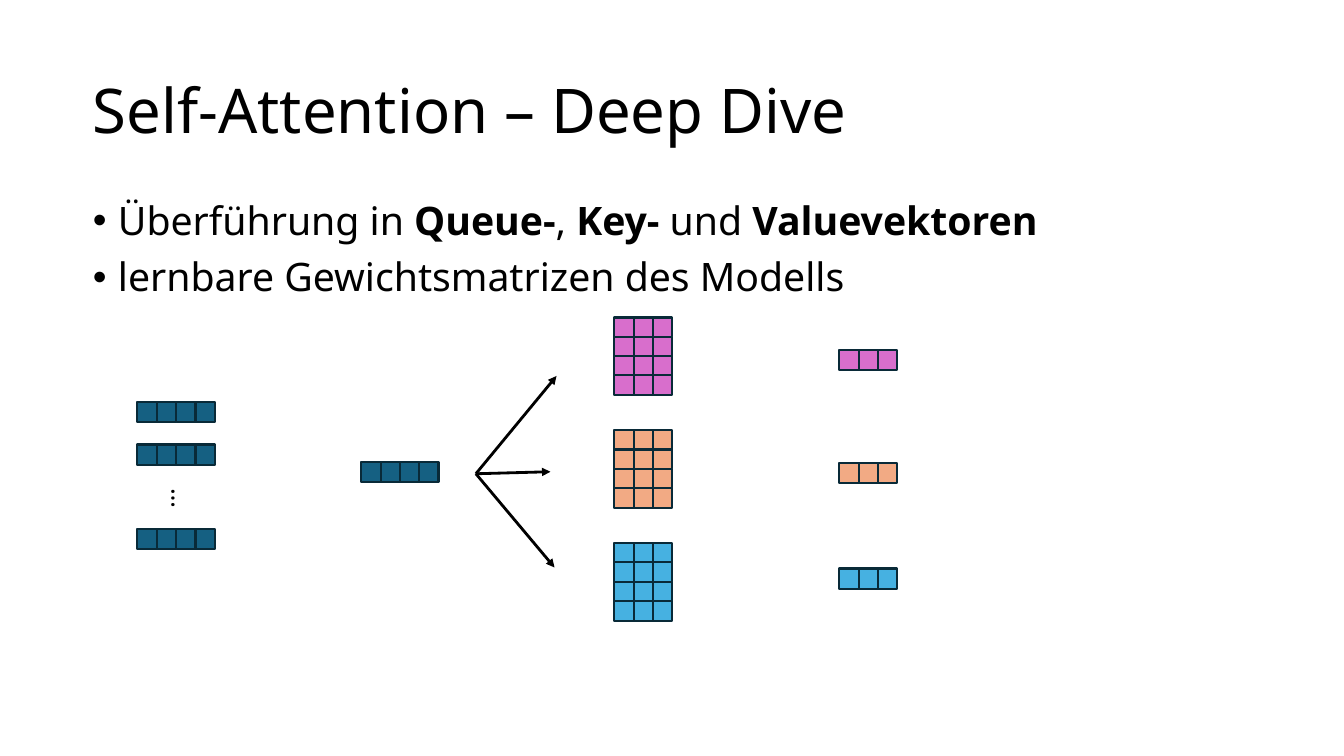
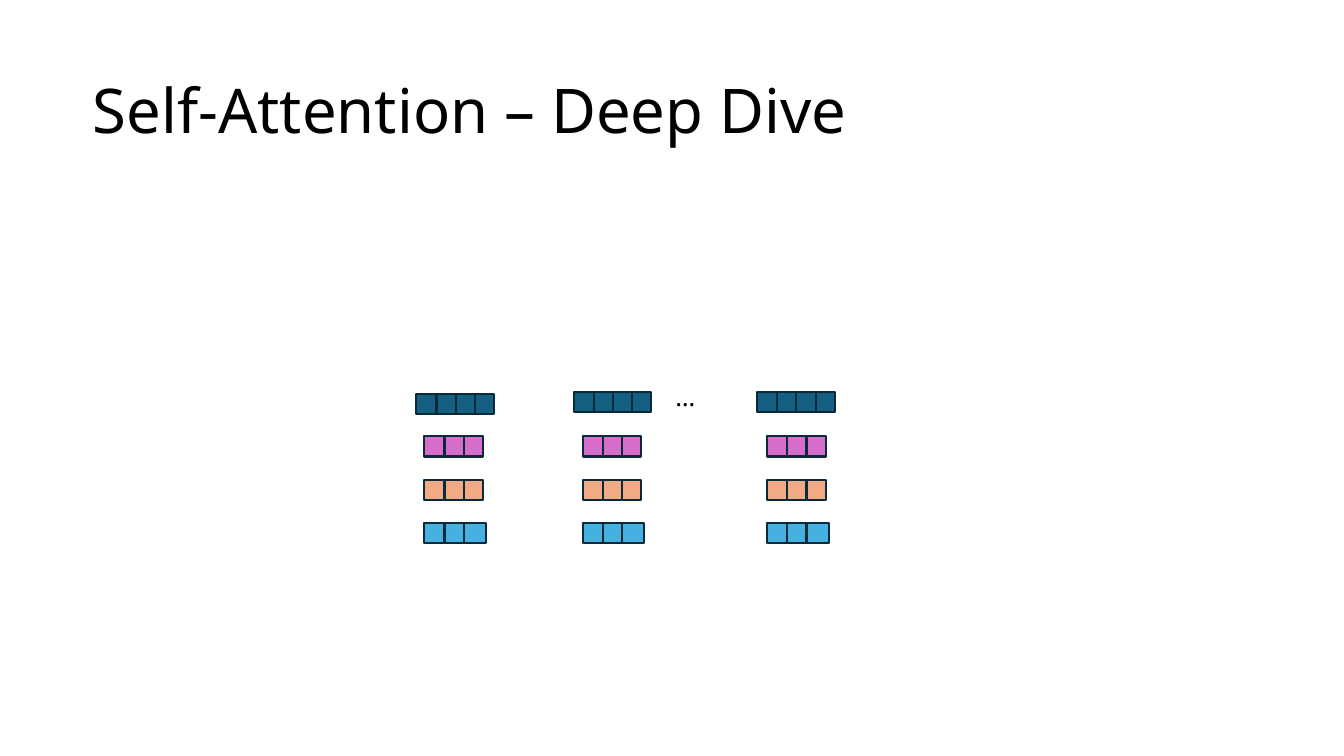
from dataclasses import dataclass
from typing import NamedTuple

from lxml import etree
from pptx import Presentation
from pptx import util as u
from pptx.dml import color
from pptx.enum import dml, shapes, text
from pptx.oxml import ns

PX = 9144


@dataclass(frozen=True)
class Theme:
    font: str = "Noto Sans"
    ink: str = "000000"
    outline: str = "092A38"
    embedding: str = "156082"
    query: str = "D86ECC"
    key: str = "F2AA84"
    value: str = "46B1E1"
    title_size: int = 44
    list_size: int = 28
    ellipsis_size: int = 18
    outline_width: float = 1.5
    line_spacing: float = 0.9
    space_before: int = 10


class Box(NamedTuple):
    left: int
    top: int
    width: int
    height: int


class Point(NamedTuple):
    x: int
    y: int


class Run(NamedTuple):
    words: str
    bold: bool = False


@dataclass(frozen=True)
class CellGrid:
    left: int
    top: int
    fill: str
    columns: int
    rows: int = 1
    last_width: int = 20


THEME = Theme()
SLIDE_SIZE = (1333, 750)
TITLE = "Self-Attention – Deep Dive"
TITLE_BOX = Box(92, 40, 1150, 145)
LIST_BOX = Box(92, 200, 1150, 476)
LIST_INDENT = 25
CELL = 20
PITCH = 19
VECTOR_COLORS = (THEME.query, THEME.key, THEME.value)

BULLETS = (
    (
        Run("Überführung in "),
        Run("Queue-", True),
        Run(", "),
        Run("Key-", True),
        Run(" und "),
        Run("Valuevektoren", True),
    ),
    (Run("lernbare Gewichtsmatrizen des Modells"),),
)


def emu(px: int) -> u.Emu:
    return u.Emu(px * PX)


def place(shape, box: Box) -> None:
    shape.left, shape.top, shape.width, shape.height = map(emu, box)


def add_run(paragraph, run: Run, size: int) -> None:
    piece = paragraph.add_run()
    piece.text = run.words
    piece.font.name = THEME.font
    piece.font.size = u.Pt(size)
    piece.font.bold = run.bold
    piece.font.color.rgb = color.RGBColor.from_string(THEME.ink)


def prepare_placeholder(holder, box: Box, anchor: text.MSO_ANCHOR):
    place(holder, box)
    frame = holder.text_frame
    frame.margin_left = frame.margin_right = 0
    frame.margin_top = frame.margin_bottom = 0
    frame.word_wrap = True
    frame.auto_size = text.MSO_AUTO_SIZE.NONE
    frame.vertical_anchor = anchor
    return frame


def format_paragraph(paragraph) -> None:
    paragraph.alignment = text.PP_ALIGN.LEFT
    paragraph.line_spacing = THEME.line_spacing


def add_titled_slide(deck, layout_name: str):
    slide = deck.slides.add_slide(deck.slide_layouts.get_by_name(layout_name))
    frame = prepare_placeholder(
        slide.shapes.title, TITLE_BOX, text.MSO_ANCHOR.MIDDLE
    )
    heading = frame.paragraphs[0]
    format_paragraph(heading)
    add_run(heading, Run(TITLE), THEME.title_size)
    return slide


def fill_list(holder) -> None:
    frame = prepare_placeholder(holder, LIST_BOX, text.MSO_ANCHOR.TOP)
    for index, runs in enumerate(BULLETS):
        item = frame.add_paragraph() if index else frame.paragraphs[0]
        format_paragraph(item)
        item.space_before = u.Pt(THEME.space_before)
        properties = item._p.get_or_add_pPr()
        properties.set("marL", str(emu(LIST_INDENT)))
        properties.set("indent", str(-emu(LIST_INDENT)))
        bullet = etree.SubElement(properties, ns.qn("a:buChar"))
        bullet.set("char", "•")
        for run in runs:
            add_run(item, run, THEME.list_size)


def draw_grid(slide, grid: CellGrid) -> None:
    group = slide.shapes.add_group_shape()
    for row in range(grid.rows):
        for column in reversed(range(grid.columns)):
            is_last = column == grid.columns - 1
            cell = group.shapes.add_shape(
                shapes.MSO_SHAPE.RECTANGLE,
                emu(grid.left + column * PITCH),
                emu(grid.top + row * PITCH),
                emu(grid.last_width if is_last else CELL),
                emu(CELL),
            )
            cell.shadow.inherit = False
            cell.fill.solid()
            cell.fill.fore_color.rgb = color.RGBColor.from_string(grid.fill)
            cell.line.color.rgb = color.RGBColor.from_string(THEME.outline)
            cell.line.width = u.Pt(THEME.outline_width)


def draw_arrow(slide, start: Point, end: Point) -> None:
    arrow = slide.shapes.add_connector(
        shapes.MSO_CONNECTOR.STRAIGHT, *map(emu, (*start, *end))
    )
    arrow.line.fill.solid()
    arrow.line.fill.fore_color.rgb = color.RGBColor.from_string(THEME.ink)
    arrow.line.dash_style = dml.MSO_LINE.SOLID
    arrow.line.width = u.Pt(0)
    head = etree.SubElement(arrow.line._get_or_add_ln(), ns.qn("a:tailEnd"))
    head.set("type", "triangle")
    etree.SubElement(arrow._element.spPr, ns.qn("a:effectLst"))


def draw_ellipsis(slide, box: Box, rotation: int = 0) -> None:
    ellipsis = slide.shapes.add_textbox(*map(emu, box))
    ellipsis.rotation = rotation
    frame = ellipsis.text_frame
    frame.word_wrap = False
    frame.auto_size = text.MSO_AUTO_SIZE.SHAPE_TO_FIT_TEXT
    add_run(frame.paragraphs[0], Run("…"), THEME.ellipsis_size)


def build_projection_slide(deck) -> None:
    slide = add_titled_slide(deck, "Title and Content")
    fill_list(slide.placeholders[1])

    for index, fill in enumerate(VECTOR_COLORS):
        weights_top = 315 + index * 112
        draw_grid(slide, CellGrid(609, weights_top, fill, 3, rows=4))

    fan_origin = Point(472, 470)
    for target in (Point(552, 373), Point(546, 468), Point(550, 563)):
        draw_arrow(slide, fan_origin, target)

    for fill, result_top in zip(VECTOR_COLORS, (347, 459, 564)):
        draw_grid(slide, CellGrid(832, result_top, fill, 3))

    for left, top in ((136, 399), (136, 441), (136, 525), (358, 458)):
        draw_grid(slide, CellGrid(left, top, THEME.embedding, 4))
    draw_ellipsis(slide, Box(160, 475, 40, 40), rotation=90)


def build_token_slide(deck) -> None:
    slide = add_titled_slide(deck, "Title Only")
    for embedding, vectors_left in (
        (Point(413, 391), 421),
        (Point(569, 389), 578),
        (Point(751, 389), 761),
    ):
        draw_grid(slide, CellGrid(*embedding, THEME.embedding, 4))
        for index, fill in enumerate(VECTOR_COLORS):
            last_width = 23 if fill == THEME.value else CELL
            top = 433 + index * 43
            draw_grid(
                slide,
                CellGrid(vectors_left, top, fill, 3, last_width=last_width),
            )
    draw_ellipsis(slide, Box(660, 373, 40, 40))


def main() -> None:
    deck = Presentation()
    deck.slide_width, deck.slide_height = map(emu, SLIDE_SIZE)
    build_projection_slide(deck)
    build_token_slide(deck)
    deck.save("out.pptx")


if __name__ == "__main__":
    main()
